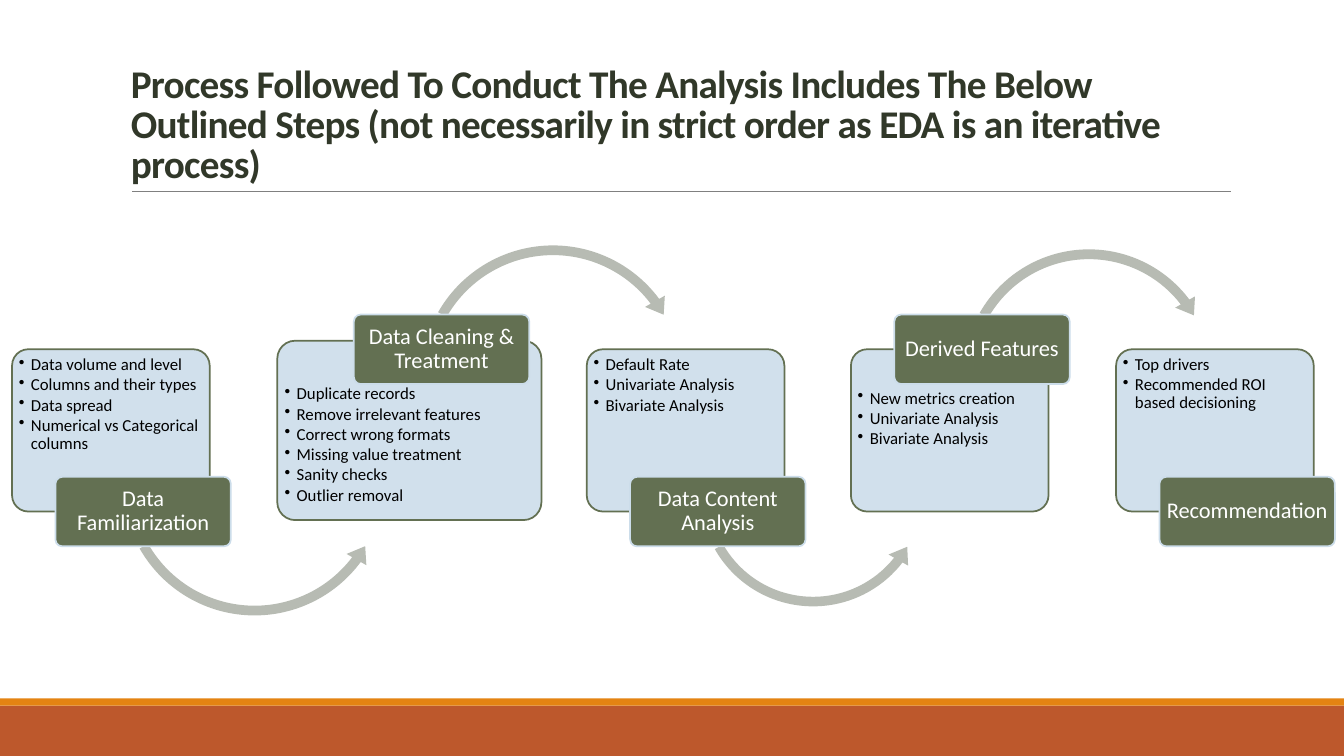
from lxml import etree
from pptx import Presentation
from pptx.dml.color import RGBColor
from pptx.enum.shapes import MSO_CONNECTOR, MSO_SHAPE
from pptx.enum.text import MSO_ANCHOR, PP_ALIGN
from pptx.oxml.ns import qn
from pptx.util import Inches, Pt

RECT, ROUND = MSO_SHAPE.RECTANGLE, MSO_SHAPE.ROUNDED_RECTANGLE
OVER, UNDER = MSO_SHAPE.CIRCULAR_ARROW, MSO_SHAPE.LEFT_CIRCULAR_ARROW
TOP, MIDDLE, BOTTOM = MSO_ANCHOR.TOP, MSO_ANCHOR.MIDDLE, MSO_ANCHOR.BOTTOM
CENTER, LEFT = PP_ALIGN.CENTER, PP_ALIGN.LEFT

FONT = "Calibri"
COLORS = {
    "title": "313829", "text": "000000", "white": "FFFFFF", "rule": "808080",
    "card": "CCDDEA", "green": "637052", "arrow": "B7BBB3",
    "orange": "E48312", "rust": "BD582C",
}
TITLE = ("Process Followed To Conduct The Analysis Includes The Below Outlined "
         "Steps (not necessarily in strict order as EDA is an iterative process)")

# Arrow: left, top, size, adjustments
STEPS = [
    {"label": "Data Familiarization", "left": 0.12, "size": (1.96, 1.61),
     "items": ["Data volume and level", "Columns and their types",
               "Data spread", "Numerical vs Categorical columns"],
     "arrow": (1.15, 3.42, 2.75, (0.035, 4.318, 22.083, 90.254, 0.041))},
    {"label": "Data Cleaning & Treatment", "left": 2.75, "size": (2.62, 1.78),
     "items": ["Duplicate records", "Remove irrelevant features",
               "Correct wrong formats", "Missing value treatment",
               "Sanity checks", "Outlier removal"],
     "arrow": (4.11, 2.37, 2.75, (0.035, 4.318, 193.936, 125.764, 0.041))},
    {"label": "Data Content Analysis", "left": 5.82, "size": (1.96, 1.61),
     "items": ["Default Rate", "Univariate Analysis", "Bivariate Analysis"],
     "arrow": (6.88, 3.71, 2.37, (0.04, 5.078, 22.834, 90.245, 0.047))},
    {"label": "Derived Features", "left": 8.44, "size": (1.96, 1.61),
     "items": ["New metrics creation", "Univariate Analysis", "Bivariate Analysis"],
     "arrow": (9.49, 2.41, 2.62, (0.037, 4.551, 193.694, 125.755, 0.043))},
    {"label": "Recommendation", "left": 11.07, "size": (1.96, 1.61),
     "items": ["Top drivers", "Recommended ROI based decisioning"],
     "arrow": None},
]
CARD_MIDDLE = 4.27
LABEL_W, LABEL_H = 1.74, 0.69
LABEL_SHIFT = -0.55  # label's left edge from the card's centre
LABEL_UPPER, LABEL_LOWER = 3.12, 4.73
BULLET_INDENT = 0.12


def rgb(name):
    return RGBColor.from_string(COLORS[name])


def add_shape(slide, kind, box, fill, line=None, adjustments=()):
    s = slide.shapes.add_shape(kind, *map(Inches, box))
    s.shadow.inherit = False
    s.fill.solid()
    s.fill.fore_color.rgb = rgb(fill)
    if line:
        s.line.color.rgb = rgb(line)
        s.line.width = Pt(1.25)
    else:
        s.line.fill.background()
    for i, value in enumerate(adjustments):
        s.adjustments[i] = value
    return s


def write(s, lines, size, color, anchor, align, margins, spacing=0.9, after=0):
    """Fill a shape with paragraphs; margins are left, top, right, bottom."""
    tf = s.text_frame
    tf.word_wrap = True
    tf.vertical_anchor = anchor
    (tf.margin_left, tf.margin_top,
     tf.margin_right, tf.margin_bottom) = map(Inches, margins)
    for i, line in enumerate(lines):
        p = tf.paragraphs[0] if i == 0 else tf.add_paragraph()
        p.text = line
        p.alignment = align
        p.line_spacing = spacing
        p.space_after = Pt(after)
        p.font.name, p.font.size = FONT, Pt(size)
        p.font.color.rgb = rgb(color)
    return tf.paragraphs


def add_bullet(p):
    pPr = p._p.get_or_add_pPr()
    pPr.set("marL", str(Inches(BULLET_INDENT)))
    pPr.set("indent", str(-Inches(BULLET_INDENT)))
    bullet = etree.Element(qn("a:buChar"), char="•")
    pPr.find(qn("a:spcAft")).addnext(bullet)


def add_step(slide, step, upper):
    width, height = step["size"]
    card = add_shape(slide, ROUND,
                     (step["left"], CARD_MIDDLE - height / 2, width, height),
                     "card", "green", [0.1])
    color = card.fill._xPr.find(qn("a:solidFill"))[0]
    etree.SubElement(color, qn("a:alpha"), val="90000")
    text_top = 0.22 * height if upper else 0.02
    for p in write(card, step["items"], 12, "text", TOP, LEFT,
                   (0.02, text_top, 0.02, 0.02), after=1.5):
        add_bullet(p)

    if step["arrow"]:
        left, top, size, adjustments = step["arrow"]
        add_shape(slide, OVER if upper else UNDER, (left, top, size, size),
                  "arrow", adjustments=adjustments)

    label_left = step["left"] + width / 2 + LABEL_SHIFT
    label_top = LABEL_UPPER if upper else LABEL_LOWER
    label = add_shape(slide, ROUND, (label_left, label_top, LABEL_W, LABEL_H),
                      "green", "card", [0.1])
    write(label, [step["label"]], 16, "white", MIDDLE, CENTER,
          (0.03, 0.02, 0.03, 0.02))


def add_frame(slide):
    """Footer bands, title and the rule beneath it."""
    add_shape(slide, RECT, (0, 7, 13.33, 0.5), "rust")
    add_shape(slide, RECT, (0, 6.93, 13.33, 0.07), "orange")
    rule = slide.shapes.add_connector(
        MSO_CONNECTOR.STRAIGHT, *map(Inches, (1.31, 1.9, 12.21, 1.9)))
    rule.line.color.rgb = rgb("rule")
    rule.line.width = Pt(0.5)
    etree.SubElement(rule._element.spPr, qn("a:effectLst"))
    title = slide.shapes.add_textbox(*map(Inches, (1.2, 0.31, 11, 1.59)))
    p = write(title, [TITLE], 28, "title", BOTTOM, LEFT,
              (0.1, 0.05, 0.1, 0.05), spacing=0.85)[0]
    p.font.bold = True
    p.runs[0]._r.get_or_add_rPr().set("spc", "-50")


def main():
    prs = Presentation()
    prs.slide_width, prs.slide_height = Inches(13.33), Inches(7.5)
    slide = prs.slides.add_slide(prs.slide_layouts[6])
    add_frame(slide)
    for i, step in enumerate(STEPS):
        add_step(slide, step, upper=i % 2 == 1)
    prs.save("out.pptx")


if __name__ == "__main__":
    main()
